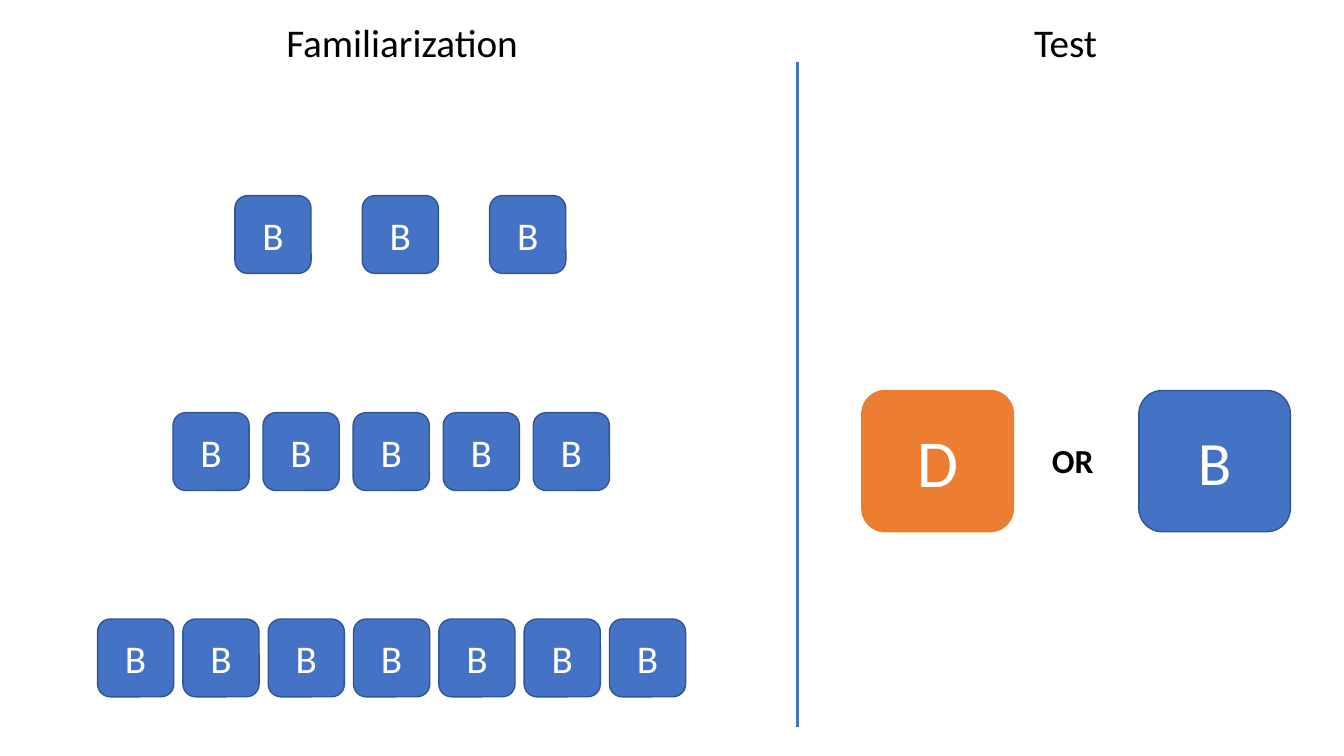
from lxml.etree import SubElement
from pptx import Presentation
from pptx.dml.color import RGBColor
from pptx.enum.shapes import MSO_CONNECTOR, MSO_SHAPE
from pptx.enum.text import MSO_ANCHOR, MSO_AUTO_SIZE, PP_ALIGN
from pptx.oxml.ns import qn
from pptx.util import Cm, Pt

BLUE = RGBColor(0x44, 0x72, 0xC4)
DARK_BLUE = RGBColor(0x32, 0x54, 0x91)
ORANGE = RGBColor(0xED, 0x7D, 0x31)
BLACK = RGBColor(0, 0, 0)
WHITE = RGBColor(0xFF, 0xFF, 0xFF)

HEADING = {"name": "Calibri", "size": Pt(28), "bold": False}
SMALL_LETTER = {"name": "Calibri", "size": Pt(28)}
LARGE_D = {"name": "Calibri", "size": Pt(48)}
LARGE_B = {"name": "Calibri", "size": Pt(44)}
CHOICE = {"name": "Calibri", "size": Pt(24), "bold": True}

ROWS = [
    {"left": 5.92, "top": 4.93, "count": 3, "pitch": 3.21},
    {"left": 4.36, "top": 10.4, "count": 5, "pitch": 2.27},
    {"left": 2.46, "top": 15.6, "count": 7, "pitch": 2.15},
]


def write_text(shape, text, font_format, color, alignment, anchor):
    frame = shape.text_frame
    frame.text = text
    frame_format = {
        "word_wrap": True,
        "auto_size": MSO_AUTO_SIZE.NONE,
        "vertical_anchor": anchor,
    }
    for name, value in frame_format.items():
        setattr(frame, name, value)
    paragraph = frame.paragraphs[0]
    paragraph.alignment = alignment
    font = paragraph.runs[0].font
    for name, value in font_format.items():
        setattr(font, name, value)
    font.color.rgb = color


def add_label(slide, left, top, width, height, text, font_format):
    label = slide.shapes.add_textbox(Cm(left), Cm(top), Cm(width), Cm(height))
    write_text(label, text, font_format, BLACK, PP_ALIGN.LEFT, MSO_ANCHOR.TOP)


def add_tile(slide, left, top, width, height, letter, font_format, fill, line):
    tile = slide.shapes.add_shape(
        MSO_SHAPE.ROUNDED_RECTANGLE, Cm(left), Cm(top), Cm(width), Cm(height)
    )
    tile.shadow.inherit = False
    tile.fill.solid()
    tile.fill.fore_color.rgb = fill
    tile.line.color.rgb = line
    tile.line.width = Pt(1)
    write_text(tile, letter, font_format, WHITE, PP_ALIGN.CENTER, MSO_ANCHOR.MIDDLE)


def add_familiarization(slide, left, top):
    title = slide.shapes.title
    position = {
        "left": Cm(left + 6.96),
        "top": Cm(top + 0.33),
        "width": Cm(9.35),
        "height": Cm(1.45),
    }
    for name, value in position.items():
        setattr(title, name, value)
    write_text(title, "Familiarization", HEADING, BLACK, PP_ALIGN.LEFT, MSO_ANCHOR.TOP)
    for row in ROWS:
        for index in range(row["count"]):
            tile_left = left + row["left"] + index * row["pitch"]
            add_tile(slide, tile_left, top + row["top"], 1.92, 1.96,
                     "B", SMALL_LETTER, BLUE, DARK_BLUE)


def add_divider(slide, left, top, height):
    divider = slide.shapes.add_connector(
        MSO_CONNECTOR.STRAIGHT, Cm(left), Cm(top), Cm(left), Cm(top + height)
    )
    divider.line.color.rgb = BLUE
    divider.line.width = Pt(2.25)
    SubElement(divider._element.spPr, qn("a:effectLst"))


def add_test(slide, left, top):
    add_label(slide, left + 5.72, top + 0.33, 6.4, 1.45, "Test", HEADING)
    add_tile(slide, left + 1.63, top + 9.84, 3.82, 3.56, "D", LARGE_D, ORANGE, ORANGE)
    add_label(slide, left + 6.17, top + 10.97, 1.75, 1.27, "OR", CHOICE)
    add_tile(slide, left + 8.61, top + 9.84, 3.82, 3.56, "B", LARGE_B, BLUE, DARK_BLUE)


def main():
    presentation = Presentation()
    presentation.slide_width = Cm(33.87)
    presentation.slide_height = Cm(19.05)
    slide = presentation.slides.add_slide(presentation.slide_layouts[5])
    add_familiarization(slide, 0, 0)
    add_divider(slide, 20.09, 1.56, 16.76)
    add_test(slide, 20.09, 0)
    presentation.save("out.pptx")


if __name__ == "__main__":
    main()
